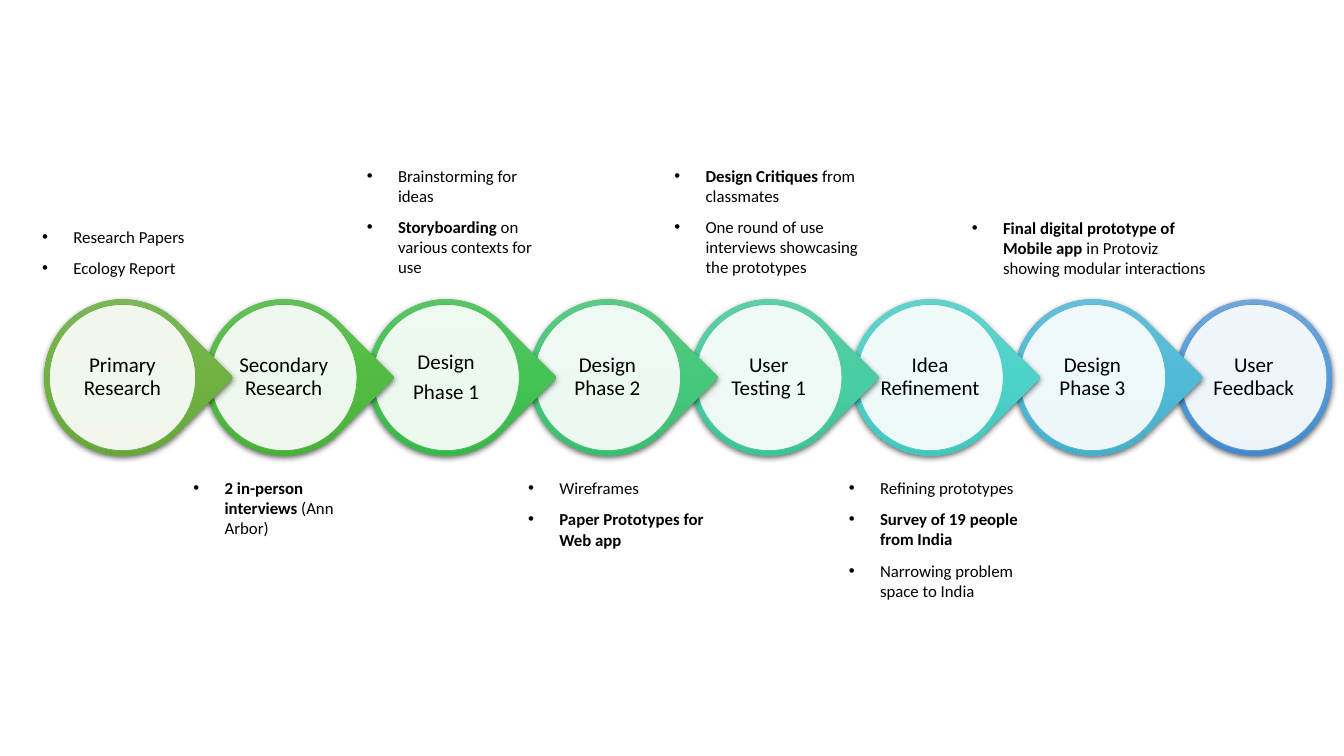
from copy import deepcopy

from lxml import etree
from pptx import Presentation
from pptx import util as u
from pptx.dml.color import RGBColor
from pptx.enum import shapes, text
from pptx.oxml.ns import qn

PX = 9144  # 100 px to the inch
theme = {"font": "Calibri", "ink": "000000", "white": "FFFFFF",
         "stage_size": 15, "note_size": 12}

prs = Presentation()
prs.slide_width, prs.slide_height = 1333 * PX, 750 * PX
slide = prs.slides.add_slide(prs.slide_layouts[6])


def add_text_area(left, top, width, height):
    area = slide.shapes.add_textbox(left * PX, top * PX, width * PX, height * PX)
    area.text_frame.word_wrap = True
    return area.text_frame


def style_run(run, size, bold=False):
    run.font.name = theme["font"]
    run.font.size = u.Pt(size)
    run.font.bold = bold
    run.font.color.rgb = RGBColor.from_string(theme["ink"])


# Stages: label, gradient from top to bottom, outline of the inner disc
stages = [
    ("Primary Research", ("81B861", "6FB242", "62A336"), "70AD47"),
    ("Secondary Research", ("6CBF62", "51BC41", "45AC35"), "55B646"),
    ("Design\nPhase 1", ("64C46F", "43C354", "35B346"), "48BD58"),
    ("Design Phase 2", ("66C98A", "46C87A", "37B86B"), "4CC27B"),
    ("User Testing 1", ("68CEAA", "49CDA2", "3ABD92"), "4FC7A0"),
    ("Idea Refinement", ("6BD2CC", "4DD2CA", "3DC1B9"), "53CCC5"),
    ("Design Phase 3", ("6EBFD7", "51BBD7", "41AAC6"), "57B7D1"),
    ("User Feedback", ("71A6DB", "559BDB", "448ACA"), "5B9BD5"),
]
FIRST_LEFT, LAST_LEFT, RING_TOP = 44, 1166, 297
RING, DISC, LABEL = 155, 145, 103
last = len(stages) - 1

# Drawn from right to left, so each pointer overlaps the next stage
for i, (label, gradient, outline) in reversed(list(enumerate(stages))):
    left = FIRST_LEFT + round(i * (LAST_LEFT - FIRST_LEFT) / last)

    # Ring with a pointer; the last stage has none
    kind = shapes.MSO_SHAPE.OVAL if i == last else shapes.MSO_SHAPE.TEAR
    ring = slide.shapes.add_shape(kind, left * PX, RING_TOP * PX, RING * PX, RING * PX)
    ring.rotation = 0 if i == last else 45
    ring.line.fill.background()
    ring.fill.gradient()
    ring.fill.gradient_angle = 270
    grad = ring.element.spPr.find(qn("a:gradFill"))
    grad.set("rotWithShape", "0")
    stop_list = grad.find(qn("a:gsLst"))
    stop_list.append(deepcopy(stop_list[0]))
    for stop, position, color in zip(ring.fill.gradient_stops, (0, 0.5, 1), gradient):
        stop.position = position
        stop.color.rgb = RGBColor.from_string(color)

    # Soft shadow below the ring
    ring.shadow.inherit = False
    shadow = etree.SubElement(
        ring.element.spPr.find(qn("a:effectLst")), qn("a:outerShdw"),
        blurRad=str(u.Pt(4.5)), dist=str(u.Pt(1.5)), dir="5400000",
        algn="ctr", rotWithShape="0")
    shade = etree.SubElement(shadow, qn("a:srgbClr"), val=theme["ink"])
    etree.SubElement(shade, qn("a:alpha"), val="63000")

    # Pale inner disc
    inset = (RING - DISC) // 2
    disc = slide.shapes.add_shape(
        shapes.MSO_SHAPE.OVAL, (left + inset) * PX, (RING_TOP + inset) * PX,
        DISC * PX, DISC * PX)
    disc.shadow.inherit = False
    disc.fill.solid()
    disc.fill.fore_color.rgb = RGBColor.from_string(theme["white"])
    etree.SubElement(disc.element.spPr.find(qn("a:solidFill"))[0],
                     qn("a:alpha"), val="90000")
    disc.line.color.rgb = RGBColor.from_string(outline)
    disc.line.width = u.Pt(0.5)

    # Stage label
    inset = (RING - LABEL) // 2
    frame = add_text_area(left + inset, RING_TOP + inset, LABEL, LABEL)
    frame.margin_left = frame.margin_right = 2 * PX
    frame.margin_top = frame.margin_bottom = 2 * PX
    frame.vertical_anchor = text.MSO_ANCHOR.MIDDLE
    frame.text = label
    for para in frame.paragraphs:
        para.alignment = text.PP_ALIGN.CENTER
        para.line_spacing = 0.9
        para.space_after = u.Pt(5.25)
        style_run(para.runs[0], theme["stage_size"])

# Notes: box, then bullets made of (wording, bold) runs
notes = [
    ((32, 220, 175, 62), [[("Research Papers", False)], [("Ecology Report", False)]]),
    ((182, 469, 203, 71), [[("2 in-person interviews ", True), ("(Ann Arbor)", False)]]),
    ((354, 159, 203, 122), [
        [("Brainstorming for ideas", False)],
        [("Storyboarding", True), (" on various contexts for use", False)]]),
    ((514, 469, 203, 82), [
        [("Wireframes", False)], [("Paper Prototypes for Web app", True)]]),
    ((659, 159, 217, 122), [
        [("Design Critiques ", True), ("from classmates", False)],
        [("One round of use interviews showcasing the prototypes", False)]]),
    ((832, 469, 203, 134), [
        [("Refining prototypes", False)],
        [("Survey of 19 people from India", True)],
        [("Narrowing problem space to India", False)]]),
    ((954, 211, 258, 71), [
        [("Final digital prototype of Mobile app ", True),
         ("in Protoviz showing modular interactions", False)]]),
]
INDENT = 31 * PX

for box, bullets in notes:
    frame = add_text_area(*box)
    frame.auto_size = text.MSO_AUTO_SIZE.SHAPE_TO_FIT_TEXT
    for n, bullet in enumerate(bullets):
        para = frame.add_paragraph() if n else frame.paragraphs[0]
        para.space_after = u.Pt(8)
        props = para._p.get_or_add_pPr()
        props.set("marL", str(INDENT))
        props.set("indent", str(-INDENT))
        etree.SubElement(props, qn("a:buFont"), typeface="Arial")
        etree.SubElement(props, qn("a:buChar"), char="•")
        for wording, bold in bullet:
            run = para.add_run()
            run.text = wording
            style_run(run, theme["note_size"], bold)

prs.save("out.pptx")
